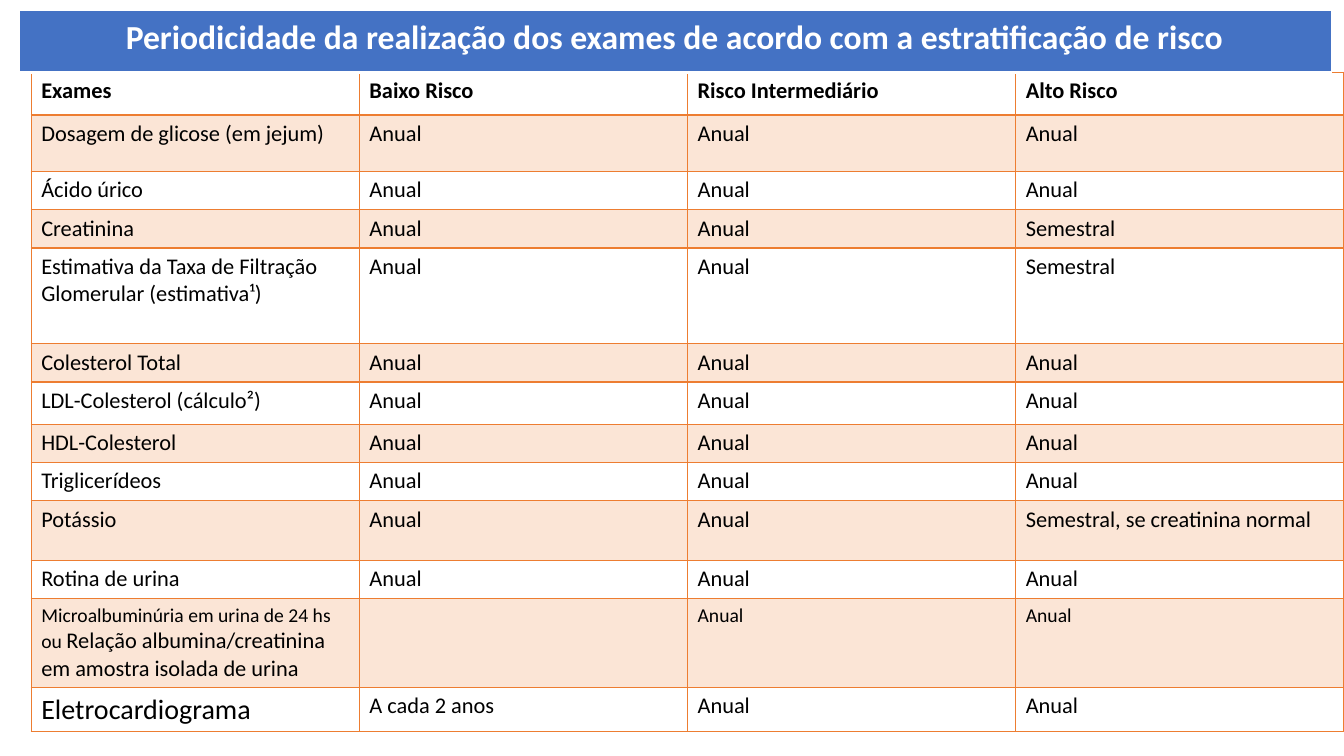
from dataclasses import dataclass

from lxml import etree
from pptx import Presentation
from pptx import util as u
from pptx.dml.color import RGBColor
from pptx.enum import text
from pptx.oxml import ns

ORANGE = RGBColor(0xED, 0x7D, 0x31)
PEACH = RGBColor(0xFB, 0xE5, 0xD6)
BLUE = RGBColor(0x44, 0x72, 0xC4)
WHITE = RGBColor(0xFF, 0xFF, 0xFF)
BLACK = RGBColor(0x00, 0x00, 0x00)
FONT = "Calibri"
TABLE_WIDTH = 13.02
THIN, MEDIUM, THICK = 0.96, 1.98, 3


@dataclass
class Exam:
    name: str
    low: str = "Anual"
    medium: str = "Anual"
    high: str = "Anual"
    height: float = 0.38
    name_size: int = 16
    size: int = 16
    name_rest: str = ""


EXAMS = [
    Exam("Exames", "Baixo Risco", "Risco Intermediário", "Alto Risco", height=0.42),
    Exam("Dosagem de glicose (em jejum)", height=0.56),
    Exam("Ácido úrico"),
    Exam("Creatinina", high="Semestral"),
    Exam("Estimativa da Taxa de Filtração Glomerular (estimativa¹)",
         high="Semestral", height=0.95),
    Exam("Colesterol Total"),
    Exam("LDL-Colesterol (cálculo²)", height=0.42),
    Exam("HDL-Colesterol"),
    Exam("Triglicerídeos"),
    Exam("Potássio", high="Semestral, se creatinina normal", height=0.59),
    Exam("Rotina de urina"),
    Exam("Microalbuminúria em urina de 24 hs ou ", low="", height=0.73,
         name_size=14, size=14,
         name_rest="Relação albumina/creatinina em amostra isolada de urina"),
    Exam("Eletrocardiograma", low="A cada 2 anos", name_size=20),
]


def add_plain_table(slide, left: float, top: float, heights: list[float], columns: int):
    """Add a table without the banding of the default style."""
    frame = slide.shapes.add_table(
        len(heights), columns, u.Inches(left), u.Inches(top),
        u.Inches(TABLE_WIDTH), u.Inches(sum(heights)))
    table = frame.table
    table.first_row = table.horz_banding = False
    for row, height in zip(table.rows, heights):
        row.height = u.Inches(height)
    return table


def set_borders(cell, color: RGBColor, top: float = THIN, bottom: float = THIN) -> None:
    properties = cell._tc.get_or_add_tcPr()
    for side, width in (("L", THIN), ("R", THIN), ("T", top), ("B", bottom)):
        line = etree.SubElement(properties, ns.qn(f"a:ln{side}"), w=str(u.Pt(width)))
        fill = etree.SubElement(line, ns.qn("a:solidFill"))
        etree.SubElement(fill, ns.qn("a:srgbClr"), val=str(color))


def format_run(run, size: int, color: RGBColor, bold: bool) -> None:
    run.font.name = FONT
    run.font.size = u.Pt(size)
    run.font.bold = bold
    run.font.color.rgb = color


def add_exam_table(slide) -> None:
    table = add_plain_table(slide, 0.31, 0.72, [exam.height for exam in EXAMS], 4)
    for row, exam in enumerate(EXAMS):
        for column, wording in enumerate((exam.name, exam.low, exam.medium, exam.high)):
            cell = table.cell(row, column)
            set_borders(cell, ORANGE, top=MEDIUM if row == 1 else THIN,
                        bottom=MEDIUM if row == 0 else THIN)
            if row % 2:
                cell.fill.solid()
                cell.fill.fore_color.rgb = PEACH
            else:
                cell.fill.background()
            paragraph = cell.text_frame.paragraphs[0]
            if not wording:
                paragraph.font.size = u.Pt(exam.size)
                continue
            paragraph.text = wording
            size = exam.name_size if column == 0 else exam.size
            format_run(paragraph.runs[0], size, BLACK, bold=row == 0)
            if column == 0 and exam.name_rest:
                rest = paragraph.add_run()
                rest.text = exam.name_rest
                format_run(rest, 16, BLACK, bold=False)


def add_title_table(slide) -> None:
    cell = add_plain_table(slide, 0.19, 0.1, [0.62], 1).cell(0, 0)
    set_borders(cell, WHITE, bottom=THICK)
    cell.fill.solid()
    cell.fill.fore_color.rgb = BLUE
    cell.margin_left = cell.margin_top = cell.margin_bottom = u.Inches(0.05)
    cell.margin_right = u.Inches(0.07)
    paragraph = cell.text_frame.paragraphs[0]
    paragraph.text = ("Periodicidade da realização dos exames de acordo "
                      "com a estratificação de risco")
    paragraph.alignment = text.PP_ALIGN.CENTER
    paragraph.line_spacing = 1.07
    format_run(paragraph.runs[0], 24, WHITE, bold=True)


def main() -> None:
    presentation = Presentation()
    presentation.slide_width = u.Inches(13.33)
    presentation.slide_height = u.Inches(7.5)
    slide = presentation.slides.add_slide(presentation.slide_layouts[6])

    # Exams by risk level, then the title bar over the table's top edge
    add_exam_table(slide)
    add_title_table(slide)

    presentation.save("out.pptx")


if __name__ == "__main__":
    main()
